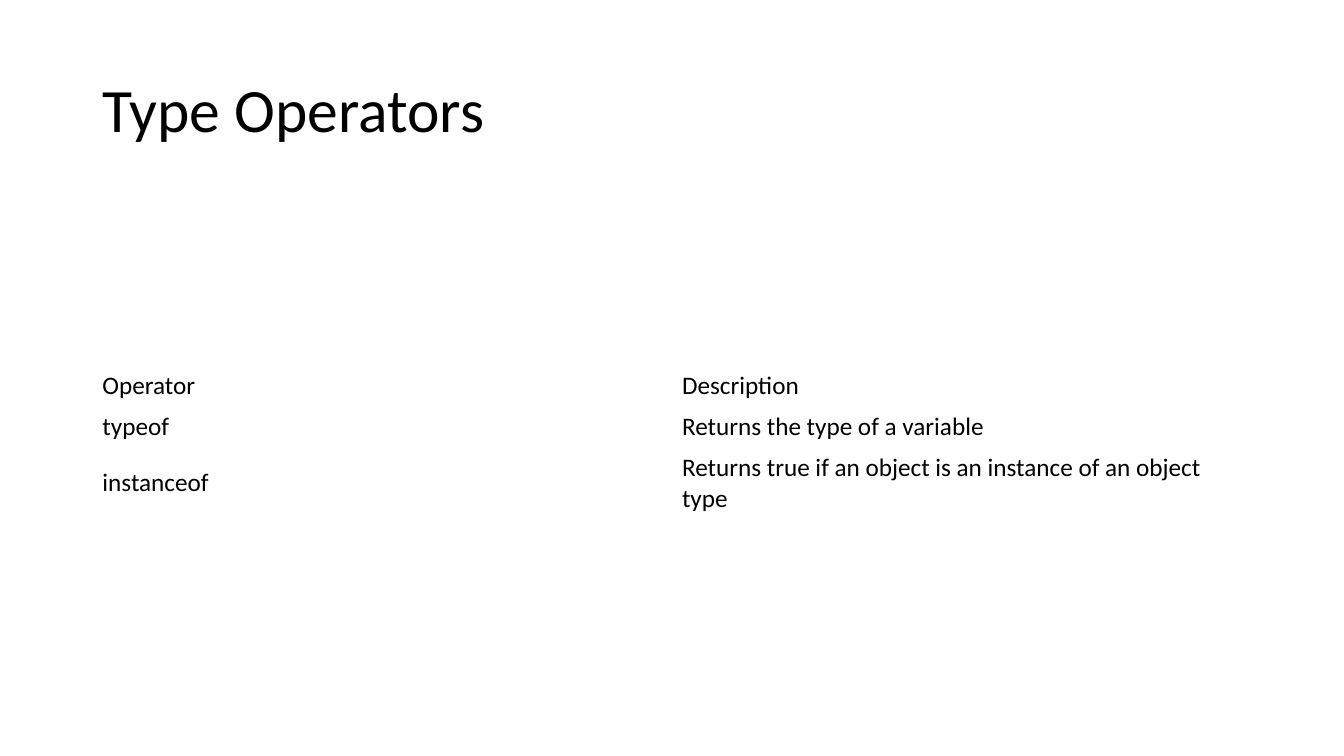
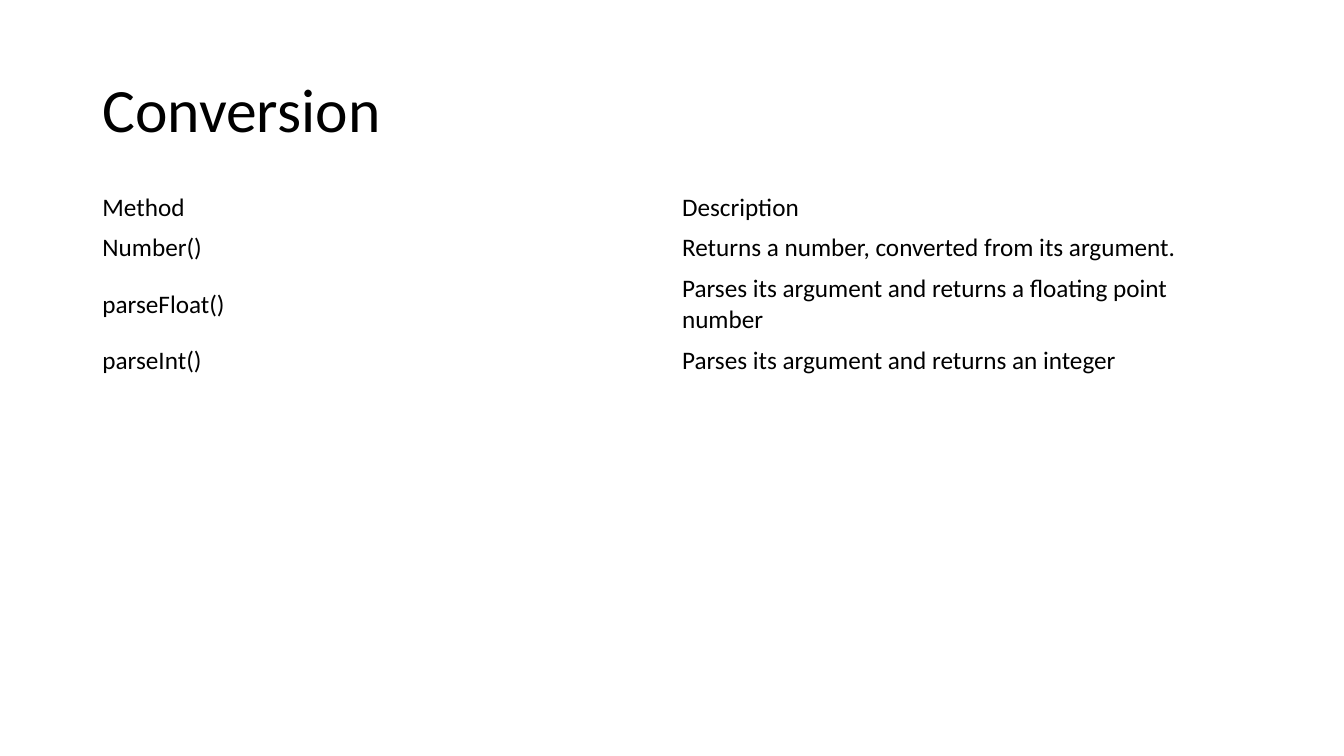
from pptx import Presentation
from pptx.dml.color import RGBColor
from pptx.enum.text import MSO_ANCHOR, PP_ALIGN
from pptx.util import Pt

PX = 9525  # EMU per px, 96 px to the inch
BLACK = RGBColor(0, 0, 0)
FONT = "Calibri"
MIDDLE = MSO_ANCHOR.MIDDLE
LEFT = PP_ALIGN.LEFT
TITLE_ONLY = 5

# Shared grid
EDGE, WIDTH = 88, 1104
TITLE_TOP, TITLE_HIGH = 38, 139
ROW, WRAPPED = 39, 68  # heights of one-line and two-line rows
LINE_CHARS = 50

TYPE_ROWS = [
    ("Operator", "Description"),
    ("typeof", "Returns the type of a variable"),
    ("instanceof", "Returns true if an object is an instance of an object type"),
]
METHOD_ROWS = [
    ("Method", "Description"),
    ("Number()", "Returns a number, converted from its argument."),
    ("parseFloat()", "Parses its argument and returns a floating point number"),
    ("parseInt()", "Parses its argument and returns an integer"),
]


def px(size):
    return size * PX


def style(frame, size):
    for para in frame.paragraphs:
        para.alignment = LEFT
        for run in para.runs:
            run.font.name = FONT
            run.font.size = Pt(size)
            run.font.color.rgb = BLACK


def add_title(slide, text):
    title = slide.shapes.title
    title.left, title.top = px(EDGE), px(TITLE_TOP)
    title.width, title.height = px(WIDTH), px(TITLE_HIGH)
    frame = title.text_frame
    frame.text = text
    frame.vertical_anchor = MIDDLE
    frame.paragraphs[0].line_spacing = 0.9
    style(frame, 44)


def add_grid(slide, top, rows):
    highs = [WRAPPED if len(note) > LINE_CHARS else ROW for _, note in rows]
    table = slide.shapes.add_table(
        len(rows), 2, px(EDGE), px(top), px(WIDTH), px(sum(highs))).table
    table.first_row = table.horz_banding = False
    for r, (texts, high) in enumerate(zip(rows, highs)):
        table.rows[r].height = px(high)
        for c, text in enumerate(texts):
            cell = table.cell(r, c)
            cell.fill.background()
            cell.vertical_anchor = MIDDLE
            cell.text_frame.text = text
            style(cell.text_frame, 18)


def main():
    deck = Presentation()
    deck.slide_width, deck.slide_height = px(1280), px(720)
    pages = [
        ("Type Operators", 348, TYPE_ROWS),
        ("Conversion", 178, METHOD_ROWS),
    ]
    for title, top, rows in pages:
        slide = deck.slides.add_slide(deck.slide_layouts[TITLE_ONLY])
        add_title(slide, title)
        add_grid(slide, top, rows)
    deck.save("out.pptx")


if __name__ == "__main__":
    main()
